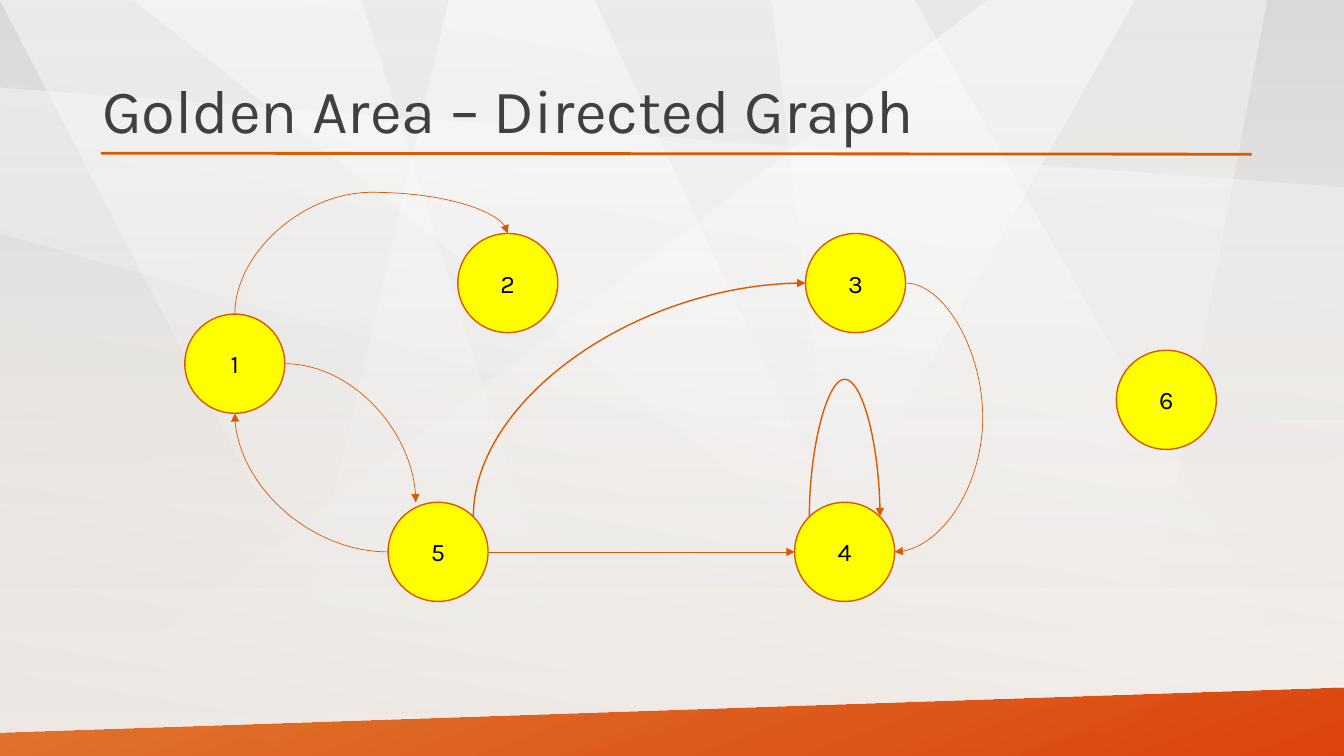
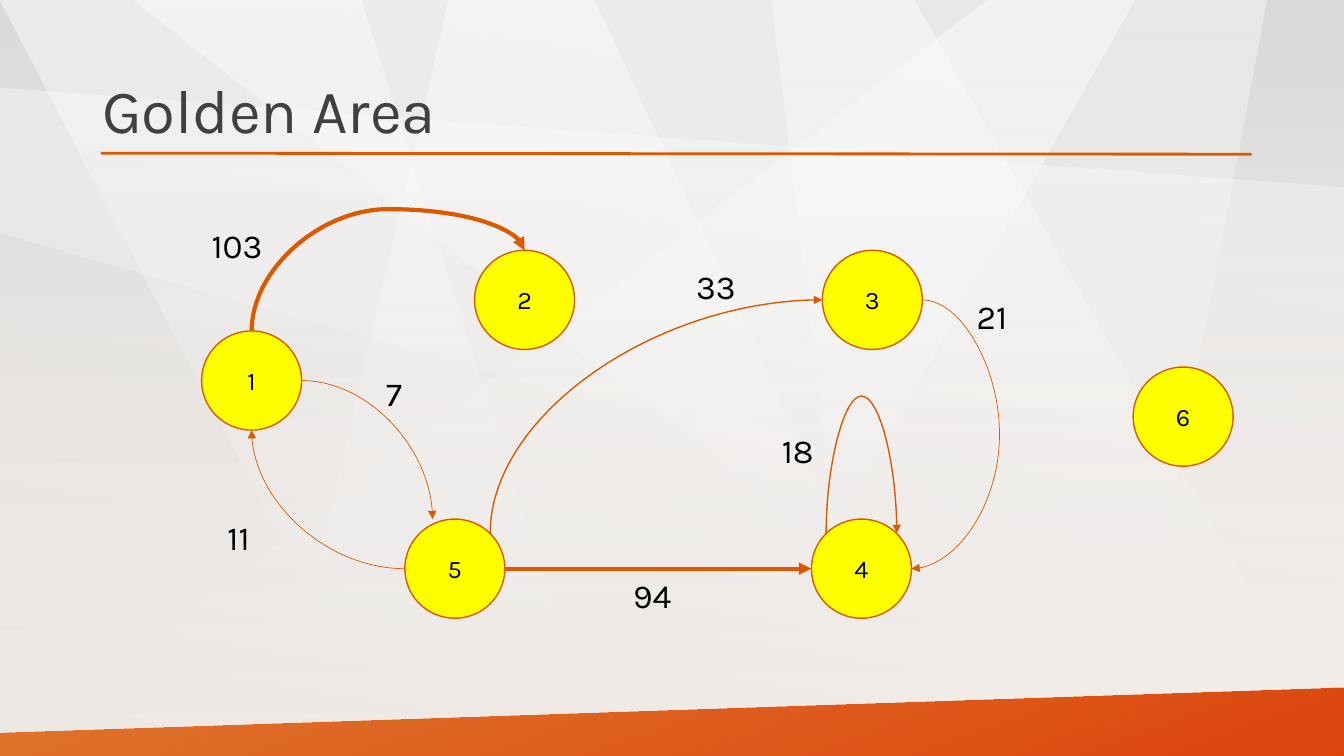
from dataclasses import dataclass
from math import cos, radians, sin

from lxml import etree
from pptx import Presentation
from pptx.dml.color import RGBColor
from pptx.enum.shapes import MSO_CONNECTOR, MSO_SHAPE
from pptx.enum.text import MSO_ANCHOR, PP_ALIGN
from pptx.oxml.ns import qn
from pptx.util import Emu, Pt

CURVE, STRAIGHT = MSO_CONNECTOR.CURVE, MSO_CONNECTOR.STRAIGHT
CIRCLE, RECTANGLE = MSO_SHAPE.FLOWCHART_CONNECTOR, MSO_SHAPE.RECTANGLE
MIDDLE, TOP = MSO_ANCHOR.MIDDLE, MSO_ANCHOR.TOP
CENTER, LEFT = PP_ALIGN.CENTER, PP_ALIGN.LEFT

CELL = 76200
COLUMNS, ROWS = 160, 90
BLANK_LAYOUT = 6


@dataclass(frozen=True)
class Theme:
    font: str = "Karla"
    accent: str = "DD5900"
    ember: str = "DC3C00"
    node: str = "FFFF00"
    ink: str = "000000"
    heading: str = "404040"
    white: str = "FFFFFF"
    mist: str = "D9D9D9"
    cream: str = "FCF5EF"
    shade: str = "BFBFBF"
    title_size: int = 44
    weight_size: int = 24
    node_size: int = 18


@dataclass(frozen=True)
class Edge:
    source: int
    exit_site: int
    target: int
    entry_site: int
    turn: int = 0
    flips: str = ""
    bends: int = 3
    bulge: float = 0
    width: float = 0.5
    landing: tuple = ()


THEME = Theme()
TITLE_BOX = (11, 4.8, 138, 17.4)
RULE = (12, 18.24, 149, 18.36)
NODE_SIZE = (11.9, 11.8)
WEIGHT_HEIGHT = 6
THINNEST = 0.12

FACETS = [
    (50, [(117.5, 0), (0, 90), (84.1, 90), (135, 0)]),
    (50, [(0, 0), (43, 0), (71.3, 90), (46.9, 90)]),
    (50, [(15.8, 0), (108.8, 0), (160, 90), (130, 90)]),
    (40, [(91.8, 0), (102.7, 90), (133.8, 90), (150.8, 0)]),
    (50, [(70.7, 0), (53.5, 0), (32.6, 90), (112.7, 90)]),
    (40, [(0, 10.4), (160, 22.3), (160, 73.2), (0, 27.8)]),
]
FOOTER = [(0, 87.2), (160, 81.8), (160, 90), (0, 90)]

NODES = {1: (0, 9.6), 2: (32.5, 0), 3: (73.9, 0),
         4: (72.6, 32), 5: (24.2, 32), 6: (110.9, 13.9)}
EDGES = [
    Edge(5, 6, 4, 2),
    Edge(1, 6, 5, 0, bends=2, landing=(27.5, 32)),
    Edge(1, 0, 2, 0, turn=90, flips="HV", bulge=14.5),
    Edge(5, 2, 1, 4, turn=180, bends=2),
    Edge(3, 6, 4, 6, flips="H", bulge=-9.2),
    Edge(5, 7, 3, 2, turn=90, flips="HV", bends=2, width=1),
    Edge(4, 1, 4, 7, turn=90, flips="HV", bulge=16.7, width=1),
]
WEIGHTS = [
    ("103", 0, -3.6, 10), ("11", 1.9, 31.2, 7.9), ("7", 20.8, 14, 7.9),
    ("94", 50.2, 38, 7.9), ("18", 67.9, 20.8, 7.9),
    ("33", 57.7, 1.3, 7.9), ("21", 91.1, 4.8, 7.9),
]
GRAPH_SLIDES = [
    {"title": "Golden Area – Directed Graph", "origin": (22, 27.8),
     "heavy": {}, "weights": []},
    {"title": "Golden Area", "origin": (24, 29.8),
     "heavy": {(5, 4): 3, (1, 2): 3}, "weights": WEIGHTS},
]


def cells(*lengths):
    return [Emu(round(length * CELL)) for length in lengths]


def rgb(code):
    return RGBColor.from_string(code)


def set_all(target, values):
    for name, value in values.items():
        setattr(target, name, value)


def write(shape, text, size, color, anchor=TOP, align=LEFT, spacing=None):
    frame = shape.text_frame
    set_all(frame, {"word_wrap": True, "vertical_anchor": anchor})
    paragraph = frame.paragraphs[0]
    set_all(paragraph, {"text": text, "alignment": align, "line_spacing": spacing})
    set_all(paragraph.font, {"name": THEME.font, "size": Pt(size)})
    paragraph.font.color.rgb = rgb(color)


def stroke(line, width):
    line.color.rgb = rgb(THEME.accent)
    line.width = Pt(width)


def fade(fill, holder, stops, angle):
    fill.gradient()
    fill.gradient_angle = 360 - angle
    for stop, (color, _) in zip(fill.gradient_stops, stops):
        stop.color.rgb = rgb(color)
    for tone, (_, opacity) in zip(holder.iter(qn("a:srgbClr")), stops):
        etree.SubElement(tone, qn("a:alpha"), val=str(opacity * 1000))


def glaze(shape, stops, angle):
    shape.shadow.inherit = False
    fade(shape.fill, shape._element.spPr, stops, angle)
    shape.line.fill.background()


def polygon(slide, points):
    corners = [cells(*point) for point in points]
    builder = slide.shapes.build_freeform(*corners[0], scale=1.0)
    builder.add_line_segments(corners[1:], close=True)
    return builder.convert_to_shape()


def add_line(slide, kind, ends, width):
    connector = slide.shapes.add_connector(kind, *cells(*ends))
    stroke(connector.line, width)
    etree.SubElement(connector._element.spPr, qn("a:effectLst"))
    return connector


def build_backdrop(slide):
    layout = slide.slide_layout
    fade(layout.background.fill, layout._element.cSld.find(qn("p:bg")),
         [(THEME.mist, 50), (THEME.cream, 100)], 90)
    parts = []
    for opacity, points in FACETS:
        facet = polygon(slide, points)
        glaze(facet, [(THEME.white, opacity), (THEME.white, 0)], 90)
        parts.append(facet)
    veil = slide.shapes.add_shape(RECTANGLE, *cells(0, 0, COLUMNS, ROWS))
    glaze(veil, [(THEME.shade, 25), (THEME.white, 0)], 280)
    footer = polygon(slide, FOOTER)
    glaze(footer, [(THEME.accent, 80), (THEME.ember, 95)], 70)
    rule = add_line(slide, STRAIGHT, RULE, 2)
    for part in parts + [veil, footer, rule]:
        layout.shapes._spTree.append(part._element)


def add_title(slide, text, box):
    title = slide.shapes.add_textbox(*cells(*box))
    write(title, text, THEME.title_size, THEME.heading, MIDDLE, spacing=0.9)


def add_node(slide, number, left, top):
    node = slide.shapes.add_shape(CIRCLE, *cells(left, top, *NODE_SIZE))
    node.shadow.inherit = False
    node.fill.solid()
    node.fill.fore_color.rgb = rgb(THEME.node)
    stroke(node.line, 1)
    write(node, str(number), THEME.node_size, THEME.ink, MIDDLE, CENTER)
    return node


def site_point(number, site):
    left, top = NODES[number]
    width, height = NODE_SIZE
    angle = radians(45 * site)
    return (left + width / 2 * (1 - sin(angle)),
            top + height / 2 * (1 - cos(angle)))


def add_edge(slide, edge, nodes, origin, width):
    x, y = origin
    start = site_point(edge.source, edge.exit_site)
    end = edge.landing or site_point(edge.target, edge.entry_site)
    connector = add_line(
        slide, CURVE, (x + start[0], y + start[1], x + end[0], y + end[1]), width)

    across, down = abs(end[0] - start[0]), abs(end[1] - start[1])
    if edge.turn == 90:
        across, down = down, across
    across = max(across, THINNEST)
    left = x + (start[0] + end[0] - across) / 2
    top = y + (start[1] + end[1] - down) / 2
    frame = dict(zip(("left", "top", "width", "height"),
                     cells(left, top, across, down)))
    set_all(connector, frame)

    properties = connector._element.spPr
    transform = properties.find(qn("a:xfrm"))
    transform.set("rot", str(edge.turn * 60000))
    for side in "HV":
        transform.set("flip" + side, str(int(side in edge.flips)))
    geometry = properties.find(qn("a:prstGeom"))
    geometry.set("prst", f"curvedConnector{edge.bends}")
    if edge.bulge:
        share = round(edge.bulge / across * 100000)
        etree.SubElement(geometry.find(qn("a:avLst")), qn("a:gd"),
                         name="adj1", fmla=f"val {share}")
    etree.SubElement(properties.find(qn("a:ln")), qn("a:tailEnd"), type="triangle")

    joints = [("a:stCxn", edge.source, edge.exit_site)]
    if not edge.landing:
        joints.append(("a:endCxn", edge.target, edge.entry_site))
    links = next(connector._element.iter(qn("p:cNvCxnSpPr")))
    for tag, number, site in joints:
        etree.SubElement(links, qn(tag), id=str(nodes[number].shape_id), idx=str(site))


def add_graph(slide, origin, heavy, weights):
    x, y = origin
    nodes = {number: add_node(slide, number, x + left, y + top)
             for number, (left, top) in NODES.items()}
    for edge in EDGES:
        width = heavy.get((edge.source, edge.target), edge.width)
        add_edge(slide, edge, nodes, origin, width)
    for text, left, top, width in weights:
        weight = slide.shapes.add_textbox(
            *cells(x + left, y + top, width, WEIGHT_HEIGHT))
        write(weight, text, THEME.weight_size, THEME.ink)


def main():
    deck = Presentation()
    deck.slide_width, deck.slide_height = cells(COLUMNS, ROWS)
    layout = deck.slide_layouts[BLANK_LAYOUT]
    for index, content in enumerate(GRAPH_SLIDES):
        slide = deck.slides.add_slide(layout)
        if index == 0:
            build_backdrop(slide)
        add_title(slide, content["title"], TITLE_BOX)
        add_graph(slide, content["origin"], content["heavy"], content["weights"])
    deck.save("out.pptx")


if __name__ == "__main__":
    main()
